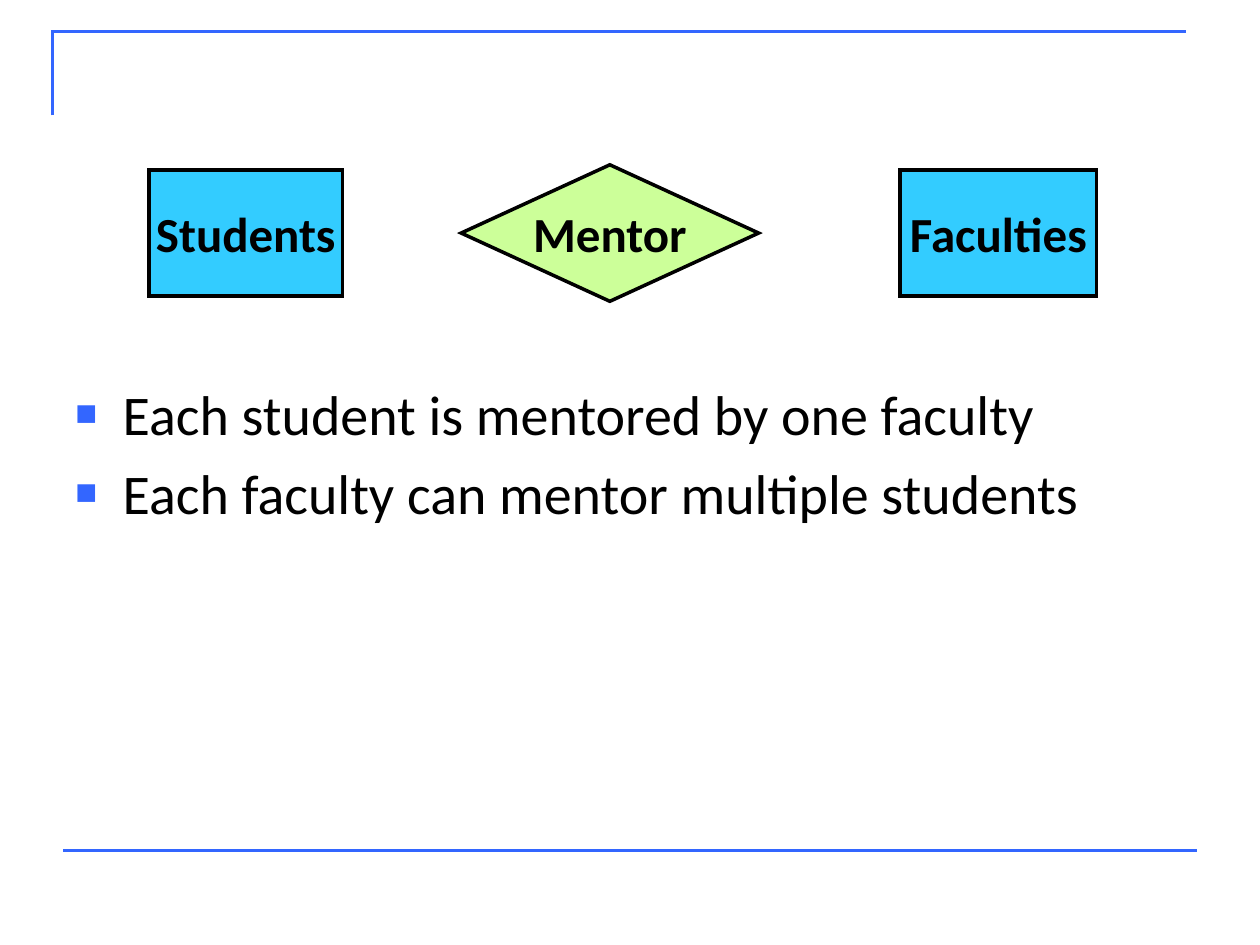
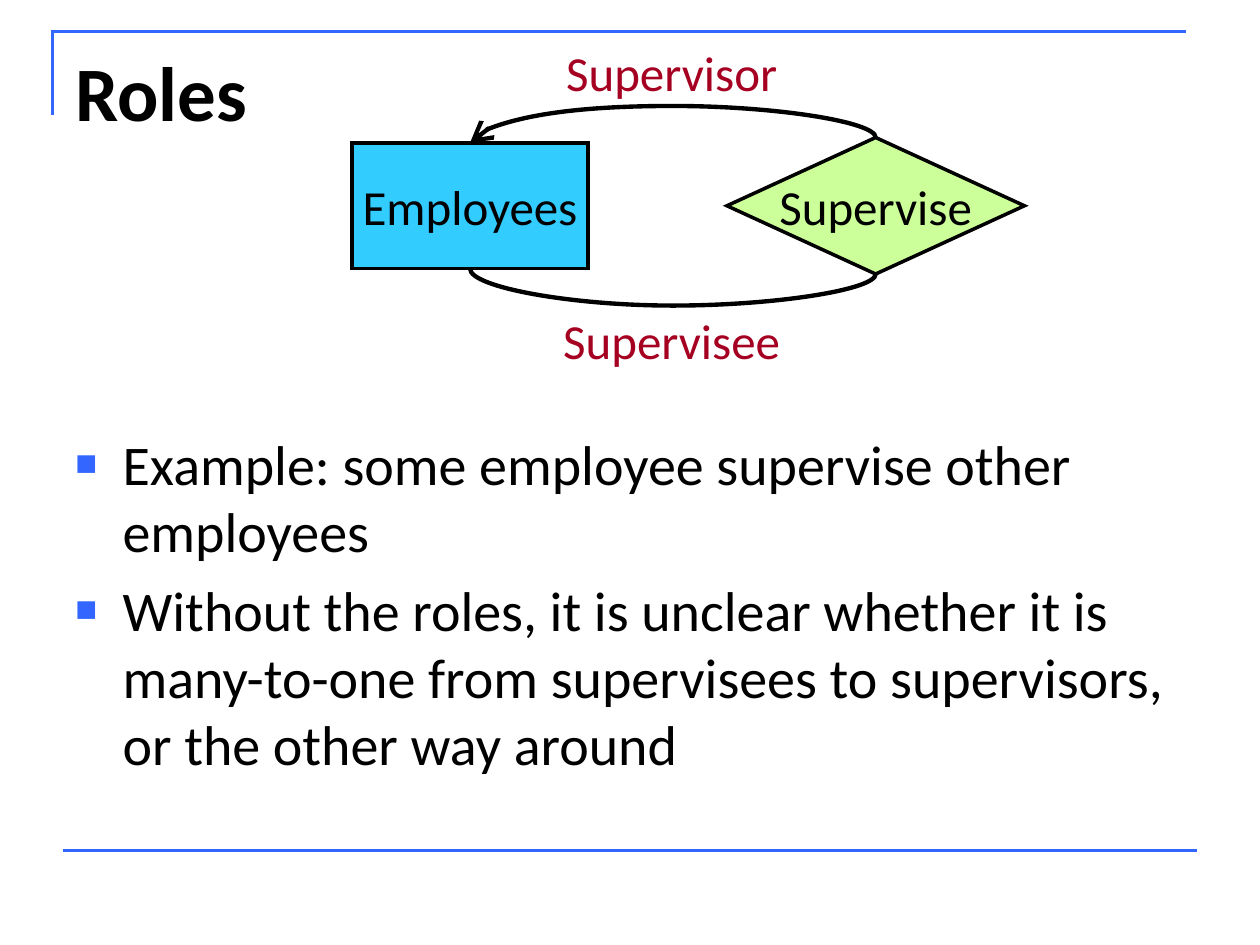
from dataclasses import dataclass

from lxml.etree import SubElement
from pptx import Presentation
from pptx.dml.color import RGBColor
from pptx.enum.shapes import MSO_CONNECTOR, MSO_SHAPE
from pptx.enum.text import MSO_ANCHOR, MSO_AUTO_SIZE, PP_ALIGN
from pptx.oxml.ns import qn
from pptx.util import Pt


@dataclass(frozen=True)
class Theme:
    """Colours, type sizes and font of the deck."""
    rule: str = "3366FF"
    ink: str = "000000"
    entity: str = "33CCFF"
    relation: str = "CCFF99"
    role: str = "A50021"
    font: str = "Calibri"
    title: int = 44
    body: int = 32
    label: int = 28


theme = Theme()


def put(thing, values):
    """Set each attribute named in a dict of format values."""
    for name, value in values.items():
        setattr(thing, name, value)


def add(parent, tag, **attrs):
    """Append one XML child with its attributes."""
    return SubElement(parent, qn(tag), attrs)


def stroke(shape, color, width):
    """Give a shape or connector a plain line with sharp corners."""
    shape.line.color.rgb = RGBColor.from_string(color)
    shape.line.width = Pt(width)
    add(shape.line._get_or_add_ln(), "a:miter", lim="800000")


def link(slide, kind, ends):
    """Add a connector without a shadow."""
    wire = slide.shapes.add_connector(kind, *map(Pt, ends))
    add(wire.element.spPr, "a:effectLst")
    return wire


def write(para, text, size, color=theme.ink, bold=False):
    """Write one run of text in the deck font."""
    run = para.add_run()
    run.text = text
    put(run.font, {"name": theme.font, "size": Pt(size), "bold": bold})
    run.font.color.rgb = RGBColor.from_string(color)


def frame(slide):
    """Draw the corner rule and the foot rule."""
    pen = slide.shapes.build_freeform(Pt(30), Pt(66))
    pen.add_line_segments([(Pt(30), Pt(18)), (Pt(678), Pt(18))], close=False)
    corner = pen.convert_to_shape()
    corner.fill.background()
    corner.shadow.inherit = False
    stroke(corner, theme.rule, 1.5)
    foot = link(slide, MSO_CONNECTOR.STRAIGHT, (36, 486, 684, 486))
    stroke(foot, theme.rule, 1.5)


def title(slide, box, text):
    """Write the slide title."""
    area = slide.shapes.add_textbox(*map(Pt, box)).text_frame
    area.word_wrap = True
    write(area.paragraphs[0], text, theme.title, bold=True)


def points(slide, box, items):
    """Write a list with square bullets."""
    area = slide.shapes.add_textbox(*map(Pt, box)).text_frame
    area.word_wrap = True
    for i, item in enumerate(items):
        para = area.add_paragraph() if i else area.paragraphs[0]
        para.space_before = Pt(theme.body * 0.2)
        props = para._p.get_or_add_pPr()
        props.set("marL", str(Pt(27)))
        props.set("indent", str(Pt(-27)))
        tint = add(props, "a:buClr")
        add(tint, "a:srgbClr", val=theme.rule)
        add(props, "a:buSzPct", val="65000")
        add(props, "a:buFont", typeface="Arial")
        add(props, "a:buChar", char="■")
        write(para, item, theme.body)


def node(slide, kind, box, text, fill, bold):
    """Draw one labelled shape of the diagram."""
    shape = slide.shapes.add_shape(kind, *map(Pt, box))
    shape.shadow.inherit = False
    shape.fill.solid()
    shape.fill.fore_color.rgb = RGBColor.from_string(fill)
    stroke(shape, theme.ink, 2)
    area = shape.text_frame
    put(area, {"word_wrap": False, "vertical_anchor": MSO_ANCHOR.MIDDLE})
    para = area.paragraphs[0]
    para.alignment = PP_ALIGN.CENTER
    write(para, text, theme.label, bold=bold)
    return shape


def entity(slide, box, text, bold=False):
    """Draw an entity set as a rectangle."""
    return node(slide, MSO_SHAPE.RECTANGLE, box, text, theme.entity, bold)


def relation(slide, left, top, text, bold=False):
    """Draw a relationship set as a diamond."""
    box = (left, top, 170, 78)
    return node(slide, MSO_SHAPE.DIAMOND, box, text, theme.relation, bold)


def role(slide, box, text):
    """Write a role name beside its curve."""
    area = slide.shapes.add_textbox(*map(Pt, box)).text_frame
    put(area, {"word_wrap": False, "auto_size": MSO_AUTO_SIZE.SHAPE_TO_FIT_TEXT})
    para = area.paragraphs[0]
    para.alignment = PP_ALIGN.CENTER
    write(para, text, theme.label, theme.role)


def curve(slide, start, end, top):
    """Arch a curve between the tops or the bottoms of two shapes."""
    wire = link(slide, MSO_CONNECTOR.CURVE, (0, 0, 1, 1))
    site = 0 if top else 2
    wire.begin_connect(start, site)
    wire.end_connect(end, site)
    wide = abs(wire.begin_x - wire.end_x)
    gap = abs(wire.begin_y - wire.end_y)
    midx = (wire.begin_x + wire.end_x) // 2
    midy = (wire.begin_y + wire.end_y) // 2
    put(wire, {"left": midx - gap // 2, "top": midy - wide // 2,
               "width": gap, "height": wide})
    form = wire.element.spPr.find(qn("a:xfrm"))
    put(form, {"flipH": True, "flipV": top, "rot": 270 if top else 90})
    bend = wire.element.spPr.find(qn("a:prstGeom"))
    guides = bend.find(qn("a:avLst"))
    if guides is None:
        guides = add(bend, "a:avLst")
    ratio = round(-Pt(18) / gap * 100000)
    add(guides, "a:gd", name="adj1", fmla=f"val {ratio}")
    stroke(wire, theme.ink, 2.5)
    if top:
        add(wire.line._get_or_add_ln(), "a:tailEnd", type="arrow", w="lg", len="lg")


def mentor(slide):
    """Build the slide on mentoring."""
    frame(slide)
    points(slide, (36, 213.5, 648, 269), [
        "Each student is mentored by one faculty",
        "Each faculty can mentor multiple students"])
    entity(slide, (514.3, 97.2, 112.4, 72), "Faculties", True)
    entity(slide, (85, 97.2, 110.8, 72), "Students", True)
    relation(slide, 263.5, 94.2, "Mentor", True)


def roles(slide):
    """Build the slide on roles."""
    frame(slide)
    title(slide, (36, 22, 648, 90), "Roles")
    points(slide, (36, 242, 648, 238), [
        "Example: some employee supervise other employees",
        "Without the roles, it is unclear whether it is many-to-one "
        "from supervisees to supervisors, or the other way around"])
    staff = entity(slide, (201.2, 81.6, 134.8, 72), "Employees")
    boss = relation(slide, 415.4, 78.6, "Supervise")
    for top in (True, False):
        curve(slide, boss, staff, top)
    role(slide, (315.4, 20.9, 136.8, 41), "Supervisor")
    role(slide, (314, 173.9, 139.6, 41), "Supervisee")


deck = Presentation()
put(deck, {"slide_width": Pt(720), "slide_height": Pt(540)})
for build in (mentor, roles):
    build(deck.slides.add_slide(deck.slide_layouts[6]))
deck.save("out.pptx")
